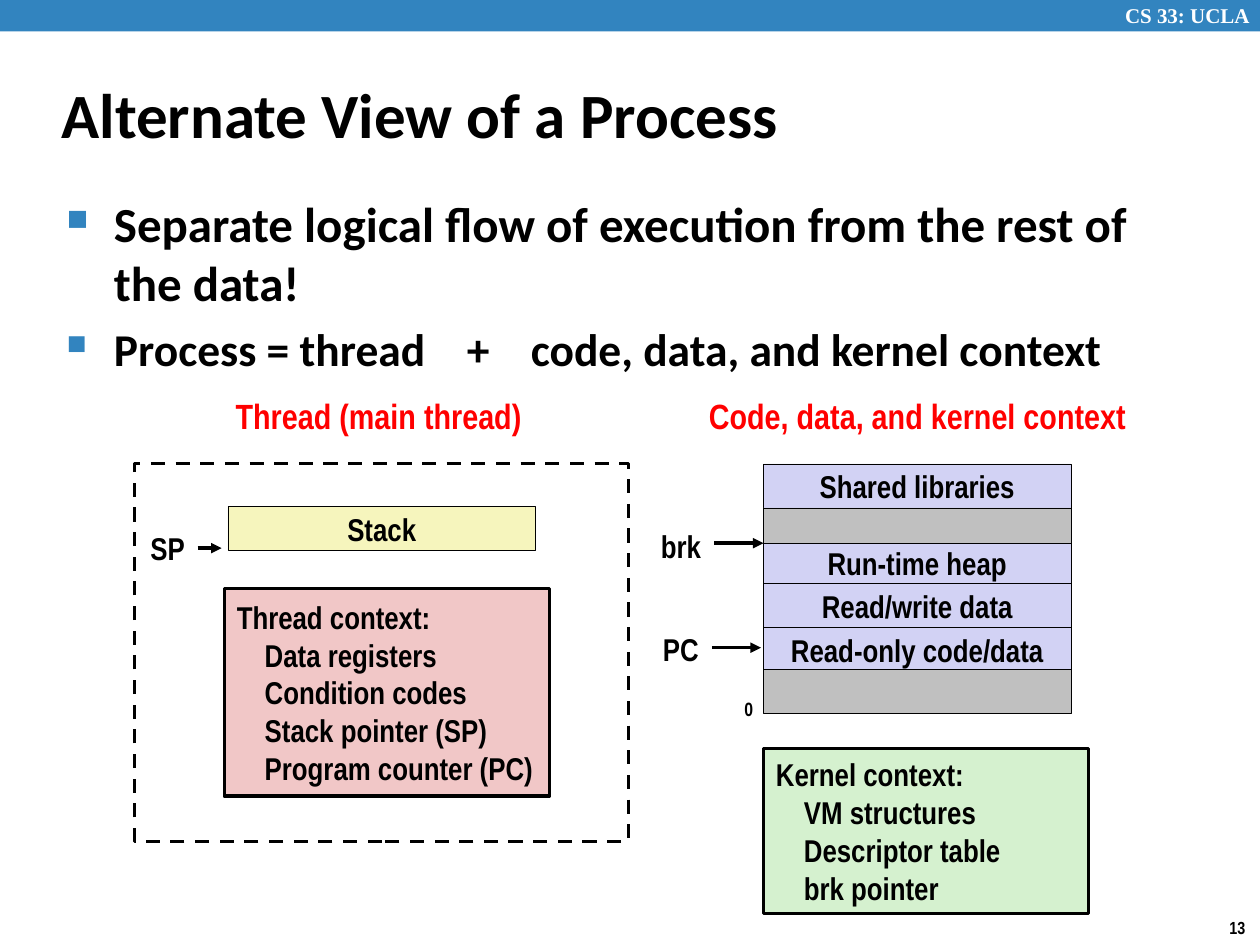
from dataclasses import dataclass

from lxml.etree import SubElement
from pptx import Presentation
from pptx.dml.color import RGBColor
from pptx.enum.dml import MSO_LINE
from pptx.enum.shapes import MSO_CONNECTOR, MSO_SHAPE
from pptx.enum.text import MSO_ANCHOR, MSO_AUTO_SIZE, PP_ALIGN
from pptx.oxml.ns import qn
from pptx.util import Pt


@dataclass(frozen=True)
class Theme:
    """Colours, fonts and type sizes of the slide."""
    accent: str = "3284BF"
    ink: str = "000000"
    paper: str = "FFFFFF"
    heading: str = "FF0000"
    memory: str = "D2D2F4"
    unused: str = "C0C0C0"
    stack: str = "F6F5BD"
    thread: str = "F1C7C7"
    kernel: str = "D5F1CF"
    text_font: str = "Calibri"
    label_font: str = "Arial Narrow"
    course_font: str = "Times New Roman"
    title: int = 36
    bullet: int = 28
    formula: int = 26
    head: int = 20
    label: int = 18
    course: int = 12
    origin: int = 11
    page: int = 10
    thin: float = 0.25
    thick: float = 2


T = Theme()


def add_run(p, text, size=T.label, font=T.label_font, color=T.ink):
    """Append a bold run to a paragraph."""
    r = p.add_run()
    r.text = text
    r.font.size, r.font.name, r.font.bold = Pt(size), font, True
    r.font.color.rgb = RGBColor.from_string(color)
    return r


def add_label(s, x, y, w, h, text, size=T.label, font=T.label_font, color=T.ink,
              align=PP_ALIGN.CENTER, anchor=MSO_ANCHOR.MIDDLE):
    """Add a one-line text box."""
    tf = s.shapes.add_textbox(Pt(x), Pt(y), Pt(w), Pt(h)).text_frame
    tf.word_wrap = False
    tf.vertical_anchor = anchor
    tf.paragraphs[0].alignment = align
    add_run(tf.paragraphs[0], text, size, font, color)


def add_box(s, x, y, w, h, fill=None, line=T.thin, text=""):
    """Add a rectangle with an optional centred label."""
    sp = s.shapes.add_shape(MSO_SHAPE.RECTANGLE, Pt(x), Pt(y), Pt(w), Pt(h))
    sp.shadow.inherit = False
    if fill:
        sp.fill.solid()
        sp.fill.fore_color.rgb = RGBColor.from_string(fill)
    else:
        sp.fill.background()
    if line:
        sp.line.color.rgb = RGBColor.from_string(T.ink)
        sp.line.width = Pt(line)
    else:
        sp.line.fill.background()
    if text:
        tf = sp.text_frame
        tf.word_wrap = False
        tf.vertical_anchor = MSO_ANCHOR.MIDDLE
        tf.paragraphs[0].alignment = PP_ALIGN.CENTER
        add_run(tf.paragraphs[0], text)
    return sp


def add_arrow(s, x1, x2, y):
    """Add a horizontal arrow."""
    c = s.shapes.add_connector(MSO_CONNECTOR.STRAIGHT, Pt(x1), Pt(y), Pt(x2), Pt(y))
    c.line.color.rgb = RGBColor.from_string(T.ink)
    c.line.width = Pt(T.thick)
    SubElement(c.line._get_or_add_ln(), qn("a:tailEnd"), type="triangle")
    SubElement(c._element.spPr, qn("a:effectLst"))


def add_context(s, x, y, w, h, fill, head, items):
    """Add a context box: a heading over indented items."""
    tf = add_box(s, x, y, w, h, fill, T.thick).text_frame
    tf.word_wrap = True
    tf.vertical_anchor = MSO_ANCHOR.MIDDLE
    for i, text in enumerate([head, *items]):
        p = tf.add_paragraph() if i else tf.paragraphs[0]
        p.alignment = PP_ALIGN.LEFT
        if i:
            p._p.get_or_add_pPr().set("marL", str(Pt(16)))
        add_run(p, text)


def add_banner(s, x, y, w, h):
    """Add the course banner."""
    add_box(s, x, y, w, h, T.accent, None)
    add_label(s, x + w - 84.2, y - 2.2, 89.3, 21.6, "CS 33: UCLA", T.course,
              T.course_font, T.paper, PP_ALIGN.LEFT, MSO_ANCHOR.TOP)


def add_title(s, x, y, w, h, text):
    """Place and fill the title placeholder."""
    sp = s.shapes.title
    sp.left, sp.top, sp.width, sp.height = Pt(x), Pt(y), Pt(w), Pt(h)
    tf = sp.text_frame
    tf.auto_size = MSO_AUTO_SIZE.NONE
    tf.vertical_anchor = MSO_ANCHOR.MIDDLE
    tf.paragraphs[0].alignment = PP_ALIGN.LEFT
    add_run(tf.paragraphs[0], text, T.title, T.text_font)


def add_bullet(p):
    """Give a paragraph a hanging square bullet."""
    pPr = p._p.get_or_add_pPr()
    pPr.set("marL", str(Pt(27)))
    pPr.set("indent", str(Pt(-27)))
    SubElement(SubElement(pPr, qn("a:buClr")), qn("a:srgbClr"), val=T.accent)
    SubElement(pPr, qn("a:buSzPct"), val="60000")
    SubElement(pPr, qn("a:buChar"), char="■")


def add_body(s, x, y, w, h):
    """Add the two bullet points."""
    tf = s.shapes.add_textbox(Pt(x), Pt(y), Pt(w), Pt(h)).text_frame
    tf.word_wrap = True
    p = tf.paragraphs[0]
    add_bullet(p)
    add_run(p, "Separate logical flow of execution from the rest of the data!",
            T.bullet, T.text_font)
    p = tf.add_paragraph()
    add_bullet(p)
    p.space_before = Pt(5.2)
    for text in ("Process = thread", " ", "+", " ", "code, data, and kernel context"):
        r = add_run(p, text, T.formula, T.text_font)
        if text == " ":
            r.font._element.set("spc", "1760")


def add_thread(s, x, y, w, h):
    """Add the thread panel: stack, stack pointer and context."""
    add_label(s, x + 49.7, y - 43.2, 179.3, 31.7, "Thread (main thread)", T.head,
              color=T.heading)
    add_box(s, x, y, w, h, line=T.thick).line.dash_style = MSO_LINE.DASH
    add_box(s, x + 53.3, y + 24.4, 175.7, 25.2, T.stack, text="Stack")
    add_label(s, x - 3.2, y + 33.8, 44, 28.8, "SP")
    add_arrow(s, x + 36, x + 49.7, y + 48.2)
    add_context(s, x + 51.2, y + 71.2, 185.8, 118.8, T.thread, "Thread context:",
                ["Data registers", "Condition codes", "Stack pointer (SP)",
                 "Program counter (PC)"])


def add_memory(s, x, y, w):
    """Add the memory map with its pointers and the kernel context."""
    add_label(s, x - 41.6, y - 43.2, 259.2, 31.7, "Code, data, and kernel context",
              T.head, color=T.heading)
    rows = [("Shared libraries", 0, 25.2), ("", 25.2, 20.2), ("Run-time heap", 45.4, 23),
            ("Read/write data", 68.4, 25.2), ("Read-only code/data", 93.6, 25.2),
            ("", 117.4, 25.2)]
    for text, top, height in rows:
        add_box(s, x, y + top, w, height, T.memory if text else T.unused, text=text)
    pointers = [("brk", 32.4, 0, 45.4), ("PC", 91.4, -1.4, 105.1)]
    for text, top, tip, level in pointers:
        add_label(s, x - 72.2, y + top, 50, 28.8, text)
        add_arrow(s, x + tip - 28.1, x + tip, y + level)
    add_label(s, x - 18, y + 129.6, 19.4, 20.9, "0", T.origin,
              align=PP_ALIGN.LEFT, anchor=MSO_ANCHOR.TOP)
    add_context(s, x, y + 162.7, 185.8, 94.3, T.kernel, "Kernel context:",
                ["VM structures", "Descriptor table", "brk pointer"])


def main():
    """Build and save the slide."""
    prs = Presentation()
    prs.slide_width, prs.slide_height = Pt(720), Pt(540)
    s = prs.slides.add_slide(prs.slide_layouts[5])
    add_banner(s, 0, 0, 720, 18)
    add_title(s, 28, 34.6, 597.6, 59.8, "Alternate View of a Process")
    add_body(s, 31, 107.3, 622, 391.7)
    add_thread(s, 77, 265, 282.2, 216)
    add_memory(s, 436.3, 265, 175.7)
    add_label(s, 695.5, 520.6, 24.5, 19.4, "13", T.page,
              align=PP_ALIGN.LEFT, anchor=MSO_ANCHOR.TOP)
    prs.save("out.pptx")


if __name__ == "__main__":
    main()
